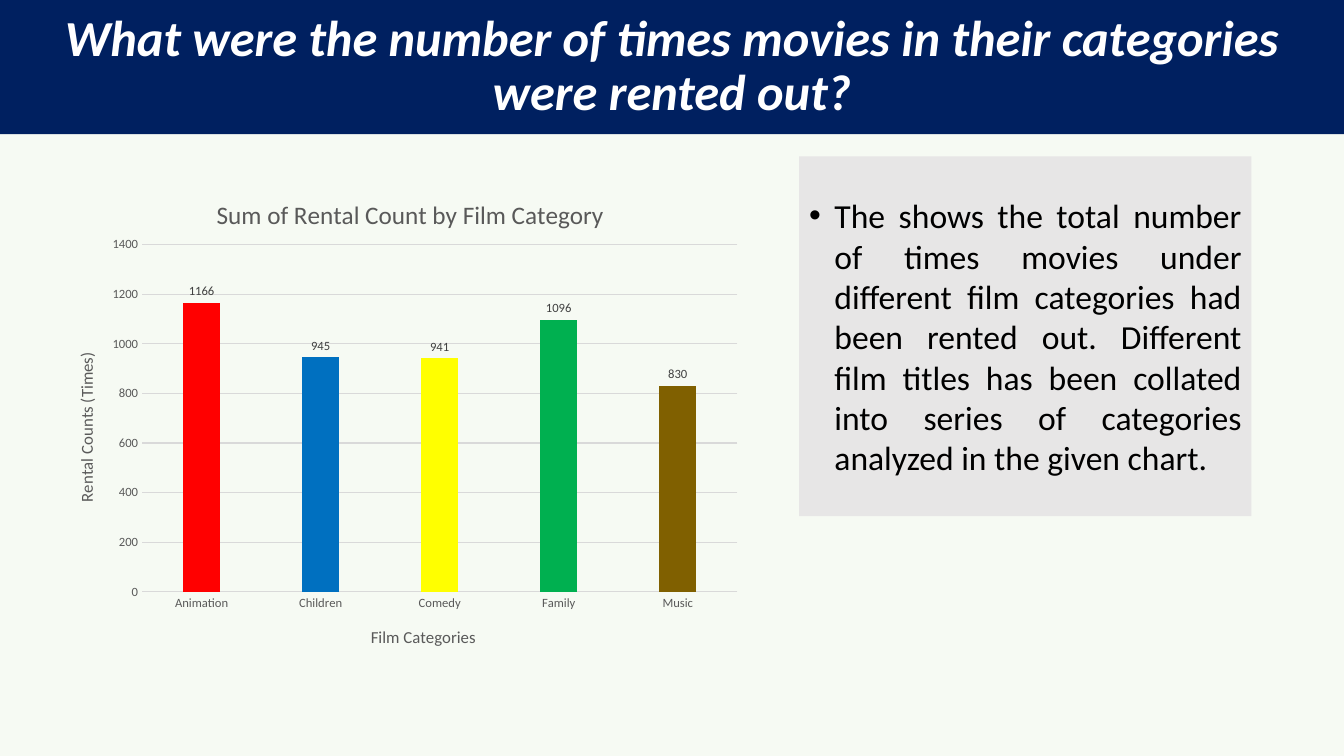
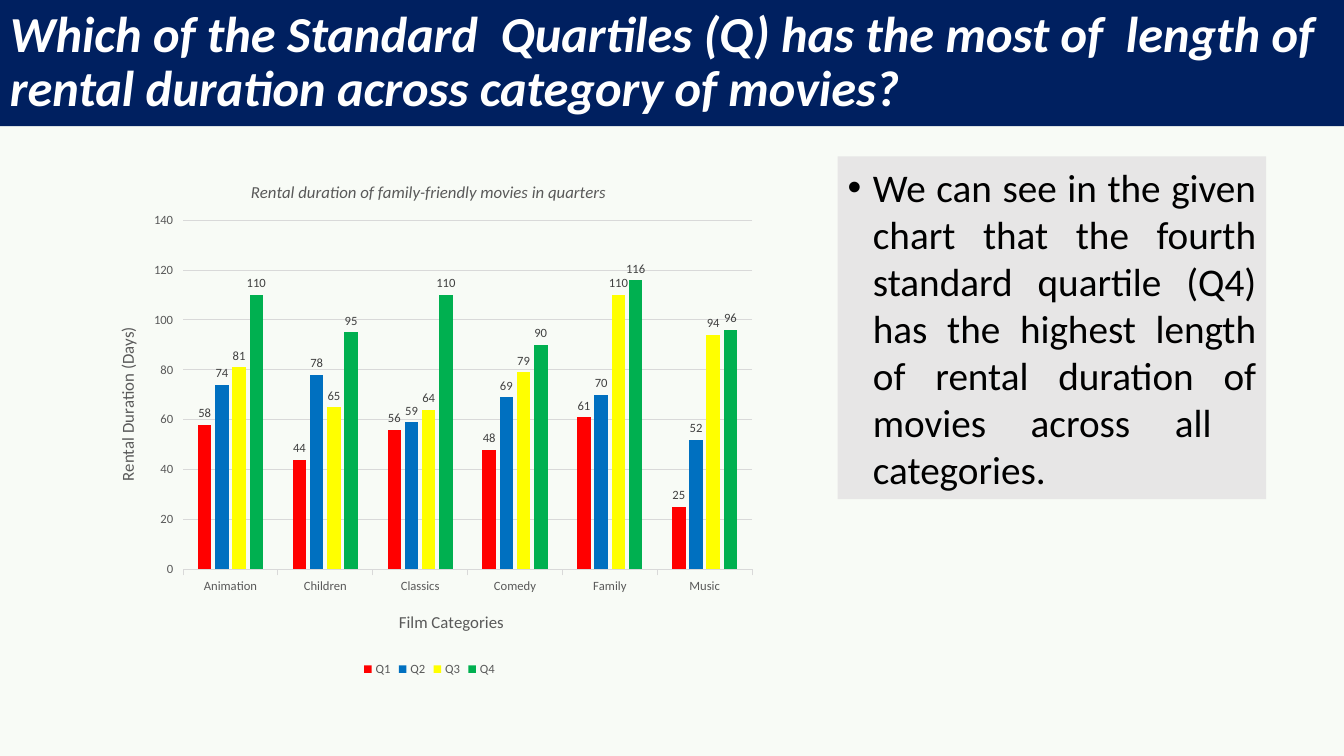
from lxml.etree import SubElement
from pptx import Presentation
from pptx.chart.data import CategoryChartData
from pptx.dml.color import RGBColor
from pptx.enum.chart import XL_CHART_TYPE as ChartType
from pptx.enum.chart import XL_LABEL_POSITION as LabelPosition
from pptx.enum.chart import XL_LEGEND_POSITION as LegendPosition
from pptx.enum.chart import XL_TICK_MARK as TickMark
from pptx.enum.shapes import MSO_SHAPE as Shape
from pptx.enum.text import MSO_ANCHOR as Anchor
from pptx.enum.text import PP_ALIGN as Align
from pptx.oxml.ns import qn
from pptx.util import Cm, Pt

FONT = "Calibri"
SLIDE_WIDTH, SLIDE_HEIGHT = 33.87, 19.05
COLORS = {
    "navy": "002060",
    "white": "FFFFFF",
    "black": "000000",
    "panel": "E7E6E6",
    "grid": "D9D9D9",
    "axis": "595959",
    "label": "404040",
    "red": "FF0000",
    "blue": "0070C0",
    "yellow": "FFFF00",
    "green": "00B050",
    "brown": "806000",
    "sage": "F6FAF3",
    "mint": "F8FBF6",
}
BAR_COLORS = ["red", "blue", "yellow", "green", "brown"]


def rgb(name):
    return RGBColor.from_string(COLORS[name])


def paint(fill, color):
    fill.solid()
    fill.fore_color.rgb = rgb(color)


def style_font(font, size, color, bold=False, italic=False):
    font.name = FONT
    font.size = Pt(size)
    font.color.rgb = rgb(color)
    font.bold = bold
    font.italic = italic


def add_text(para, text, *style):
    span = para.add_run()
    span.text = text
    style_font(span.font, *style)


def add_panel(page, box, color, align):
    panel = page.shapes.add_shape(Shape.RECTANGLE, *map(Cm, box))
    panel.shadow.inherit = False
    paint(panel.fill, color)
    panel.line.fill.background()
    frame = panel.text_frame
    frame.word_wrap = True
    frame.vertical_anchor = Anchor.MIDDLE
    para = frame.paragraphs[0]
    para.alignment = align
    return para


def add_title_band(page, text, height, align):
    para = add_panel(page, (0, 0, SLIDE_WIDTH, height), "navy", align)
    para.line_spacing = 0.9
    add_text(para, text, 36, "white", True, True)


def add_comment_panel(page, box, text, size):
    para = add_panel(page, box, "panel", Align.JUSTIFY)
    para.space_before = Pt(10)
    indent = Cm(0.64)
    properties = para._p.get_or_add_pPr()
    properties.set("marL", str(indent))
    properties.set("indent", str(-indent))
    SubElement(properties, qn("a:buFont"), typeface="Arial")
    SubElement(properties, qn("a:buChar"), char="•")
    add_text(para, text, size, "black")


def place_in_chart(element, inner=False, **fractions):
    layout = element.find(qn("c:layout"))
    if layout is None:
        layout = element.makeelement(qn("c:layout"))
        element.insert(0, layout)
    for child in list(layout):
        layout.remove(child)
    manual = SubElement(layout, qn("c:manualLayout"))
    if inner:
        SubElement(manual, qn("c:layoutTarget"), val="inner")
    for side in ("x", "y"):
        SubElement(manual, qn(f"c:{side}Mode"), val="edge")
    for name, value in fractions.items():
        SubElement(manual, qn(f"c:{name}"), val=str(value))


def write_chart_title(title, text, spot, size=12, italic=False):
    add_text(title.text_frame.paragraphs[0], text, size, "axis", False, italic)
    place_in_chart(title.element, x=spot[0], y=spot[1])


def style_axis(axis, text, spot, tick):
    axis.major_tick_mark = tick
    axis.minor_tick_mark = TickMark.NONE
    style_font(axis.tick_labels.font, 9, "axis")
    write_chart_title(axis.axis_title, text, spot)


def draw_thin_line(line):
    line.color.rgb = rgb("grid")
    line.width = Pt(0.75)


def add_column_chart(page, box, categories, series, title, title_spot, title_size,
                     title_italic, value_title, value_spot, category_spot,
                     plot, step, tick):
    data = CategoryChartData()
    data.categories = categories
    for name, values in series.items():
        data.add_series(name, values)
    chart = page.shapes.add_chart(
        ChartType.COLUMN_CLUSTERED, *map(Cm, box), data).chart
    style_font(chart.font, 10, "black")
    chart.has_title = True
    write_chart_title(chart.chart_title, title, title_spot, title_size, title_italic)
    style_axis(chart.category_axis, "Film Categories", category_spot, tick)
    draw_thin_line(chart.category_axis.format.line)

    value_axis = chart.value_axis
    style_axis(value_axis, value_title, value_spot, tick)
    value_axis.axis_title.element.find(".//" + qn("a:bodyPr")).set("rot", "-5400000")
    value_axis.minimum_scale = 0
    value_axis.maximum_scale = 7 * step
    value_axis.major_unit = step
    value_axis.format.line.fill.background()
    draw_thin_line(value_axis.major_gridlines.format.line)

    columns = chart.plots[0]
    columns.gap_width = 219
    columns.overlap = -27
    columns.vary_by_categories = False
    for bars, color in zip(columns.series, BAR_COLORS):
        paint(bars.format.fill, color)
        labels = bars.data_labels
        labels.show_value = True
        labels.position = LabelPosition.OUTSIDE_END
        style_font(labels.font, 9, "label")
    if len(series) == 1:
        for index, color in enumerate(BAR_COLORS):
            paint(columns.series[0].points[index].format.fill, color)

    chart.has_legend = len(series) > 1
    if chart.has_legend:
        chart.legend.position = LegendPosition.BOTTOM
        chart.legend.include_in_layout = False
        style_font(chart.legend.font, 9, "axis")
    place_in_chart(chart.element.find(".//" + qn("c:plotArea")), True,
                   **dict(zip("xywh", plot)))


def add_page(deck, background):
    page = deck.slides.add_slide(deck.slide_layouts[6])
    paint(page.background.fill, background)
    return page


def build_rental_counts(deck):
    page = add_page(deck, "sage")
    add_title_band(
        page, "What were the number of times movies in their categories were rented out?",
        3.38, Align.CENTER)
    add_comment_panel(
        page, (20.14, 3.94, 11.4, 9.07),
        "The shows the total number of times movies under different film categories "
        "had been rented out. Different film titles has been collated into series of "
        "categories analyzed in the given chart.", 24)
    add_column_chart(
        page, (0.64, 3.38, 19.61, 14.66),
        ["Animation", "Children", "Comedy", "Family", "Music"],
        {"Series 1": [1166, 945, 941, 1096, 830]},
        title="Sum of Rental Count by Film Category",
        title_spot=(0.24, 0.1), title_size=18, title_italic=False,
        value_title="Rental Counts (Times)", value_spot=(0.06, 0.37),
        category_spot=(0.44, 0.84), plot=(0.15, 0.19, 0.765, 0.597),
        step=200, tick=TickMark.NONE)


def build_rental_durations(deck):
    page = add_page(deck, "mint")
    add_title_band(
        page, "Which of the Standard  Quartiles (Q) has the most of  length of "
        "rental duration across category of movies?", 3.18, Align.LEFT)
    add_comment_panel(
        page, (21.11, 3.94, 10.8, 8.64),
        "We can see in the given chart that the fourth standard quartile (Q4) has "
        "the highest length of rental duration of movies across all  categories.", 28)
    add_column_chart(
        page, (2.34, 3.94, 16.97, 13.21),
        ["Animation", "Children", "Classics", "Comedy", "Family", "Music"],
        {
            "Q1": [58, 44, 56, 48, 61, 25],
            "Q2": [74, 78, 59, 69, 70, 52],
            "Q3": [81, 65, 64, 79, 110, 94],
            "Q4": [110, 95, 110, 90, 116, 96],
        },
        title="Rental duration of family-friendly movies in quarters",
        title_spot=(0.23, 0.04), title_size=12, title_italic=True,
        value_title="Rental Duration (Days)", value_spot=(0.03, 0.32),
        category_spot=(0.45, 0.86), plot=(0.134, 0.122, 0.845, 0.666),
        step=20, tick=TickMark.OUTSIDE)


def main():
    deck = Presentation()
    deck.slide_width = Cm(SLIDE_WIDTH)
    deck.slide_height = Cm(SLIDE_HEIGHT)
    build_rental_counts(deck)
    build_rental_durations(deck)
    deck.save("out.pptx")


if __name__ == "__main__":
    main()
